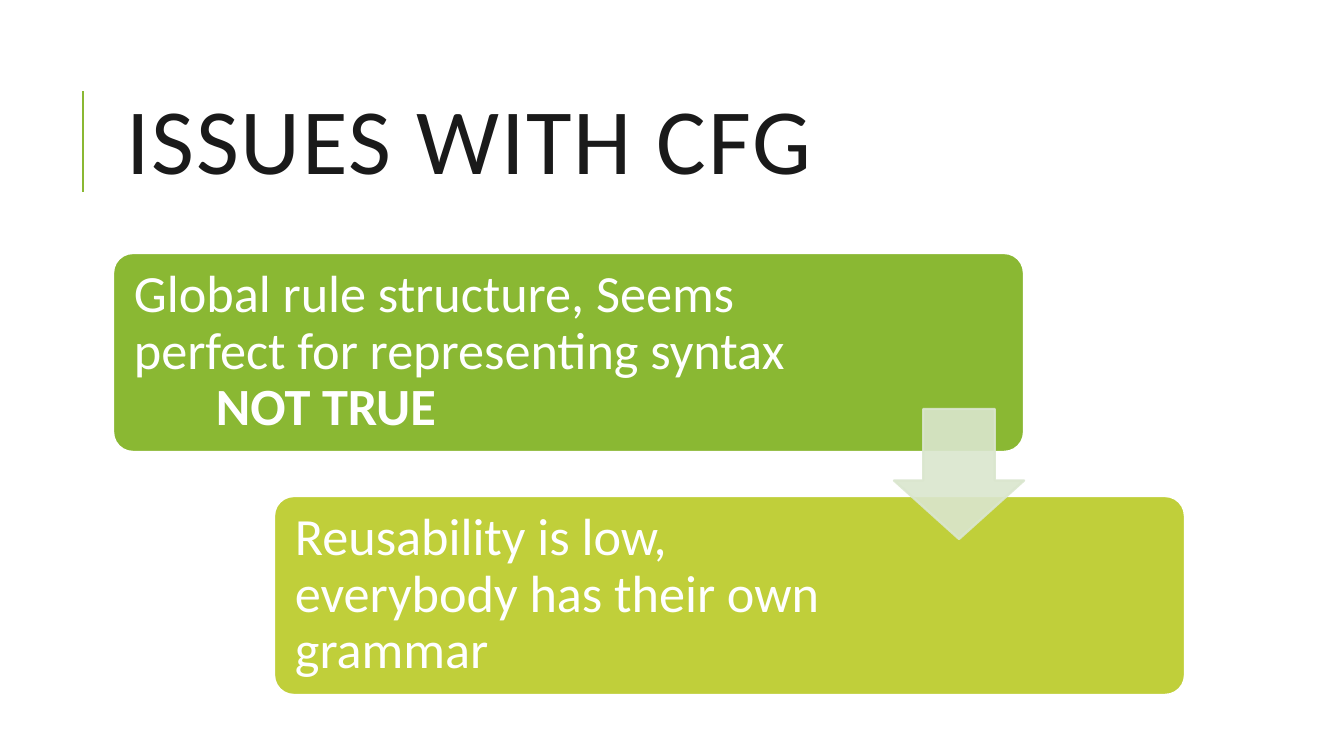
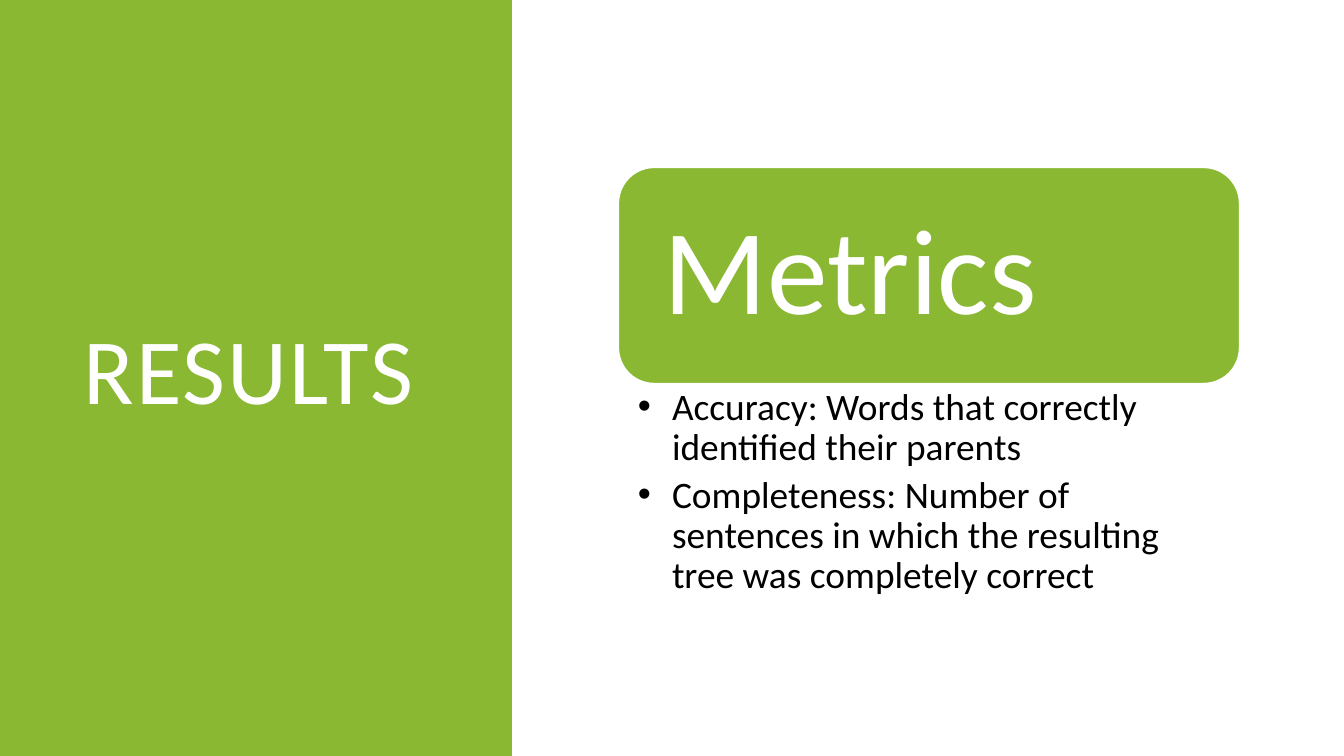
from dataclasses import dataclass
from lxml.etree import SubElement
from pptx import Presentation
from pptx.dml.color import RGBColor
from pptx.enum.shapes import MSO_CONNECTOR, MSO_SHAPE
from pptx.enum.text import MSO_ANCHOR, PP_ALIGN
from pptx.oxml.ns import qn
from pptx.util import Emu, Pt


@dataclass(frozen=True)
class Theme:
    font: str = "Calibri"
    green: str = "8AB833"
    lime: str = "C0CF3A"
    pale: str = "DAE6CE"
    white: str = "FFFFFF"
    ink: str = "1A1A1A"
    black: str = "000000"
    title: int = 50
    card: int = 28
    head: int = 65
    item: int = 20
    edge: float = 1.25
    rule: float = 1.5


T = Theme()
SIZE = (1344, 756)
SCALE = 914400 / 134.4

ISSUES = "ISSUES WITH CFG"
CARDS = [
    (T.green, 706, [
        ("Global rule structure, Seems perfect for representing syntax", False, 0),
        ("NOT TRUE", True, 82),
    ]),
    (T.lime, 609, [
        ("Reusability is low, everybody has their own grammar", False, 0),
    ]),
]
RESULTS = "RESULTS"
METRICS = "Metrics"
ITEMS = [
    "Accuracy: Words that correctly identified their parents",
    "Completeness: Number of sentences in which the resulting tree was "
    "completely correct",
]


def px(n):
    return Emu(round(n * SCALE))


def rgb(hue):
    return RGBColor.from_string(hue)


def fade(node, part):
    for color in node.iter(qn("a:srgbClr")):
        SubElement(color, qn("a:alpha"), val=str(part * 1000))


def add_block(slide, kind, box, fill, edge=None, adj=(), part=None):
    shape = slide.shapes.add_shape(kind, *map(px, box))
    shape.shadow.inherit = False
    shape.fill.solid()
    shape.fill.fore_color.rgb = rgb(fill)
    if edge:
        shape.line.color.rgb = rgb(edge)
        shape.line.width = Pt(T.edge)
    else:
        shape.line.fill.background()
    for i, value in enumerate(adj):
        shape.adjustments[i] = value
    if part:
        fade(shape._element.spPr, part)


def add_text(slide, box, rows, size, hue, pads, lead=0.9, mid=True,
             track=0, dot=0, gap=0):
    frame = slide.shapes.add_textbox(*map(px, box)).text_frame
    frame.word_wrap = True
    frame.vertical_anchor = MSO_ANCHOR.MIDDLE if mid else MSO_ANCHOR.TOP
    (frame.margin_left, frame.margin_top,
     frame.margin_right, frame.margin_bottom) = map(px, pads)
    for i, (text, bold, left) in enumerate(rows):
        para = frame.add_paragraph() if i else frame.paragraphs[0]
        para.alignment = PP_ALIGN.LEFT
        para.line_spacing = lead
        para.space_after = Pt(gap)
        props = para._p.get_or_add_pPr()
        props.set("marL", str(px(left + dot)))
        props.set("indent", str(px(-dot)))
        if dot:
            SubElement(props, qn("a:buFont"), typeface="Arial")
            SubElement(props, qn("a:buChar"), char="•")
        run = para.add_run()
        run.text = text
        run.font.name = T.font
        run.font.size = Pt(size)
        run.font.bold = bold
        run.font.color.rgb = rgb(hue)
        if track:
            run._r.get_or_add_rPr().set("spc", str(track))


def add_title(slide, text, box, hue):
    add_text(slide, box, [(text, False, 0)], T.title, hue, (13, 7, 13, 7),
             lead=0.8, track=100)


def add_rule(slide, x, top, end):
    line = slide.shapes.add_connector(
        MSO_CONNECTOR.STRAIGHT, px(x), px(end), px(x), px(top))
    line.line.color.rgb = rgb(T.green)
    line.line.width = Pt(T.rule)
    SubElement(line._element.spPr, qn("a:effectLst"))


def draw_issues(slide):
    add_rule(slide, 83, 91, 192)
    add_title(slide, ISSUES, (113, 65, 1071, 165), T.ink)
    wide, high, inset = 911, 199, 5
    for i, (fill, span, rows) in enumerate(CARDS):
        x, y = 113 + 161 * i, 253 + 243 * i
        add_block(slide, MSO_SHAPE.ROUNDED_RECTANGLE, (x, y, wide, high),
                  fill, T.white, [0.1])
        box = (x + inset, y + inset, span, high - 2 * inset)
        add_text(slide, box, rows, T.card, T.white, [16] * 4)
    side = 130
    add_block(slide, MSO_SHAPE.DOWN_ARROW, (113 + wide - side, 409, side, side),
              T.pale, T.pale, [0.55, 0.45], 90)


def draw_results(slide):
    add_block(slide, MSO_SHAPE.RECTANGLE, (0, 0, 512, SIZE[1]), T.green)
    add_title(slide, RESULTS, (71, 71, 376, 614), T.white)
    x, y, wide, high, inset = 618, 167, 622, 217, 10
    add_block(slide, MSO_SHAPE.ROUNDED_RECTANGLE, (x, y, wide, high),
              T.green, T.white)
    box = (x + inset, y + inset, wide - 2 * inset, high - 2 * inset)
    add_text(slide, box, [(METRICS, False, 0)], T.head, T.white, [36] * 4)
    add_text(slide, (x, y + high, wide, 203), [(t, False, 0) for t in ITEMS],
             T.item, T.black, (20, 4, 22, 4), mid=False, dot=34, gap=4)


def main():
    deck = Presentation()
    deck.slide_width, deck.slide_height = map(px, SIZE)
    for draw in (draw_issues, draw_results):
        draw(deck.slides.add_slide(deck.slide_layouts[6]))
    deck.save("out.pptx")


if __name__ == "__main__":
    main()
